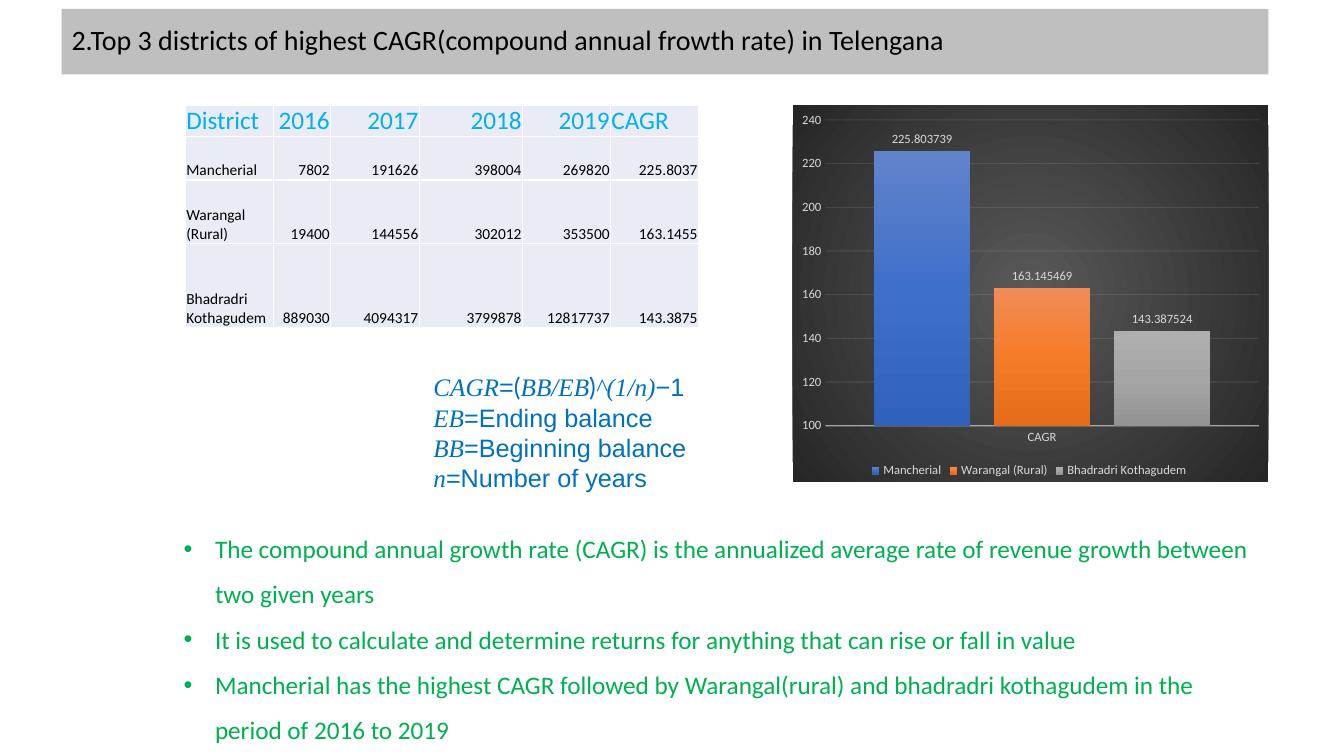
from lxml import etree
from pptx import Presentation
from pptx.chart.data import CategoryChartData
from pptx.dml.color import RGBColor
from pptx.enum.chart import XL_CHART_TYPE, XL_LABEL_POSITION, XL_LEGEND_POSITION, XL_TICK_MARK
from pptx.enum.shapes import MSO_SHAPE
from pptx.enum.text import MSO_ANCHOR, PP_ALIGN
from pptx.oxml import parse_xml
from pptx.oxml.ns import nsdecls, qn
from pptx.util import Pt

COLUMNS = XL_CHART_TYPE.COLUMN_CLUSTERED
OUTSIDE_END = XL_LABEL_POSITION.OUTSIDE_END
LEGEND_BOTTOM = XL_LEGEND_POSITION.BOTTOM
NO_TICKS = XL_TICK_MARK.NONE
RECTANGLE = MSO_SHAPE.RECTANGLE
MIDDLE, BOTTOM = MSO_ANCHOR.MIDDLE, MSO_ANCHOR.BOTTOM
LEFT, RIGHT = PP_ALIGN.LEFT, PP_ALIGN.RIGHT

GROWTH_TABLE = [
    ["District", "2016", "2017", "2018", "2019", "CAGR"],
    ["Mancherial", "7802", "191626", "398004", "269820", "225.8037"],
    ["Warangal (Rural)", "19400", "144556", "302012", "353500", "163.1455"],
    ["Bhadradri Kothagudem", "889030", "4094317", "3799878", "12817737", "143.3875"],
]
COLUMN_WIDTHS = [63, 40.7, 63.3, 73.7, 63, 62.8]
ROW_HEIGHTS = [22.5, 31, 45.5, 60]
CAGR_SERIES = [
    ("Mancherial", 225.803739, ["6183CB", "3E70CA", "3062BB"]),
    ("Warangal (Rural)", 163.145469, ["F18C57", "F67B28", "E56C19"]),
    ("Bhadradri Kothagudem ", 143.387524, ["AFAFAF", "A5A5A5", "939393"]),
]
SERIF, SANS, BRACKET = ("Times New Roman", True), ("Arial", False), ("Lato", False)
FORMULA = [
    [("CAGR", SERIF), ("=", SANS), ("(", BRACKET), ("BB/EB", SERIF), (")", BRACKET),
     ("^(1/n)", SERIF), ("−1", SANS)],
    [("EB", SERIF), ("=Ending balance", SANS)],
    [("BB", SERIF), ("=Beginning balance", SANS)],
    [("n", SERIF), ("=Number of years", SANS)],
]
FINDINGS = [
    "The compound annual growth rate (CAGR) is the annualized average rate of revenue "
    "growth between two given years",
    "It is used to calculate and determine returns for anything that can rise or fall in value",
    "Mancherial has the highest CAGR followed by Warangal(rural) and bhadradri kothagudem "
    "in the period of 2016 to 2019",
]


def rgb(value):
    return RGBColor.from_string(value)


def gradient(colors, direction):
    """Gradient fill with evenly spaced stops; direction is its a:lin or a:path element."""
    step = 100000 // (len(colors) - 1)
    stops = "".join(f'<a:gs pos="{i * step}"><a:srgbClr val="{color}"/></a:gs>'
                    for i, color in enumerate(colors))
    return f'<a:gradFill {nsdecls("a")}><a:gsLst>{stops}</a:gsLst>{direction}</a:gradFill>'


class DistrictSlide:
    font_name = "Calibri"
    chart_text = "D9D9D9"
    chart_line = "F2F2F2"

    def __init__(self, slide):
        self.slide = slide

    def style_font(self, font, size, color):
        font.name, font.size, font.bold = self.font_name, Pt(size), False
        font.color.rgb = rgb(color)

    def title_bar(self, text, left, top, width, height):
        bar = self.slide.shapes.add_shape(RECTANGLE, Pt(left), Pt(top), Pt(width), Pt(height))
        bar.shadow.inherit = False
        bar.fill.solid()
        bar.fill.fore_color.rgb = rgb("BFBFBF")
        bar.line.fill.background()
        bar.text_frame.word_wrap = True
        bar.text_frame.vertical_anchor = MIDDLE
        heading = bar.text_frame.paragraphs[0]
        heading.text, heading.alignment, heading.line_spacing = text, LEFT, 0.9
        self.style_font(heading.font, 20, "000000")

    def table(self, rows, left, top, widths, heights):
        table = self.slide.shapes.add_table(len(rows), len(widths), Pt(left), Pt(top),
                                            Pt(sum(widths)), Pt(sum(heights))).table
        table.first_row = table.horz_banding = False
        for column, width in zip(table.columns, widths):
            column.width = Pt(width)
        for r, (values, height) in enumerate(zip(rows, heights)):
            table.rows[r].height = Pt(height)
            for c, value in enumerate(values):
                aligned_left = c == 0 or value == "CAGR"
                self.table_cell(table.cell(r, c), value, LEFT if aligned_left else RIGHT, r == 0)

    def table_cell(self, cell, value, alignment, is_header):
        cell.margin_left = cell.margin_right = cell.margin_top = Pt(0.6)
        cell.margin_bottom = Pt(0)
        cell.vertical_anchor = BOTTOM
        for side in ("lnL", "lnR", "lnT", "lnB"):
            border = etree.SubElement(cell._tc.get_or_add_tcPr(), qn(f"a:{side}"), w=str(Pt(1)))
            fill = etree.SubElement(border, qn("a:solidFill"))
            etree.SubElement(fill, qn("a:srgbClr"), val="FFFFFF")
        cell.fill.solid()
        cell.fill.fore_color.rgb = rgb("E9EBF5")
        paragraph = cell.text_frame.paragraphs[0]
        paragraph.text, paragraph.alignment = value, alignment
        self.style_font(paragraph.font, *((18, "00B0F0") if is_header else (11, "000000")))

    def chart_stroke(self, line, width, opacity):
        line.width = Pt(width)
        line.color.rgb = rgb(self.chart_line)
        for color in line._get_or_add_ln().iter(qn("a:srgbClr")):
            etree.SubElement(color, qn("a:alpha"), val=str(opacity * 1000))

    def column_chart(self, series_rows, left, top, width, height):
        data = CategoryChartData()
        data.categories = ["CAGR"]
        for name, value, _ in series_rows:
            data.add_series(name, [value])
        chart = self.slide.shapes.add_chart(COLUMNS, Pt(left), Pt(top), Pt(width), Pt(height),
                                            data).chart
        self.style_font(chart.font, 9, self.chart_text)
        chart.has_title = False
        chart.has_legend = True
        chart.legend.position = LEGEND_BOTTOM
        chart.legend.include_in_layout = False
        self.style_font(chart.legend.font, 9, self.chart_text)

        glow = gradient(["595959", "262626"],
                        '<a:path path="circle"><a:fillToRect l="50000" t="50000" r="50000" '
                        'b="50000"/></a:path>')
        background = parse_xml(f'<c:spPr {nsdecls("c", "a")}>{glow}'
                               '<a:ln><a:noFill/></a:ln></c:spPr>')
        chart._chartSpace.chart.addnext(background)

        for axis in (chart.category_axis, chart.value_axis):
            axis.major_tick_mark = axis.minor_tick_mark = NO_TICKS
            self.style_font(axis.tick_labels.font, 9, self.chart_text)
        self.chart_stroke(chart.category_axis.format.line, 1, 54)
        values = chart.value_axis
        values.minimum_scale, values.maximum_scale, values.major_unit = 100, 240, 20
        values.format.line.fill.background()
        self.chart_stroke(values.major_gridlines.format.line, 0.75, 10)

        plot = chart.plots[0]
        plot.gap_width, plot.overlap, plot.vary_by_categories = 100, -24, False
        for series, (_, _, colors) in zip(plot.series, series_rows):
            fill = parse_xml(gradient(colors, '<a:lin ang="5400000" scaled="0"/>'))
            series._element.get_or_add_spPr().append(fill)
            labels = series.data_labels
            labels.show_value = True
            labels.position = OUTSIDE_END
            self.style_font(labels.font, 9, self.chart_text)

    def paragraphs(self, count, left, top, width, height):
        """Add a wrapping text box and return its empty paragraphs."""
        frame = self.slide.shapes.add_textbox(Pt(left), Pt(top), Pt(width), Pt(height)).text_frame
        frame.word_wrap = True
        for _ in range(count - 1):
            frame.add_paragraph()
        return frame.paragraphs

    def formula(self, lines, *box):
        for paragraph, parts in zip(self.paragraphs(len(lines), *box), lines):
            paragraph.font.size = Pt(18)
            paragraph.font.color.rgb = rgb("0070C0")
            for text, (font_name, italic) in parts:
                run = paragraph.add_run()
                run.text, run.font.name, run.font.italic = text, font_name, italic

    def bullets(self, items, *box):
        for paragraph, item in zip(self.paragraphs(len(items), *box), items):
            paragraph.text, paragraph.line_spacing = item, 1.5
            properties = paragraph._p.get_or_add_pPr()
            properties.set("marL", str(Pt(22.5)))
            properties.set("indent", str(Pt(-22.5)))
            etree.SubElement(properties, qn("a:buFont"), typeface="Arial")
            etree.SubElement(properties, qn("a:buChar"), char="•")
            self.style_font(paragraph.font, 18, "00B050")


def main():
    presentation = Presentation()
    presentation.slide_width, presentation.slide_height = Pt(960), Pt(540)
    page = DistrictSlide(presentation.slides.add_slide(presentation.slide_layouts[6]))
    page.title_bar("2.Top 3 districts of highest CAGR(compound annual frowth rate) in Telengana",
                   44, 6.3, 862, 46.8)
    page.table(GROWTH_TABLE, 132.5, 75, COLUMN_WIDTHS, ROW_HEIGHTS)
    page.column_chart(CAGR_SERIES, 566.2, 75, 339.8, 269.3)
    page.formula(FORMULA, 302.5, 262, 197, 117)
    page.bullets(FINDINGS, 124, 366.5, 782, 167)
    presentation.save("out.pptx")


if __name__ == "__main__":
    main()
